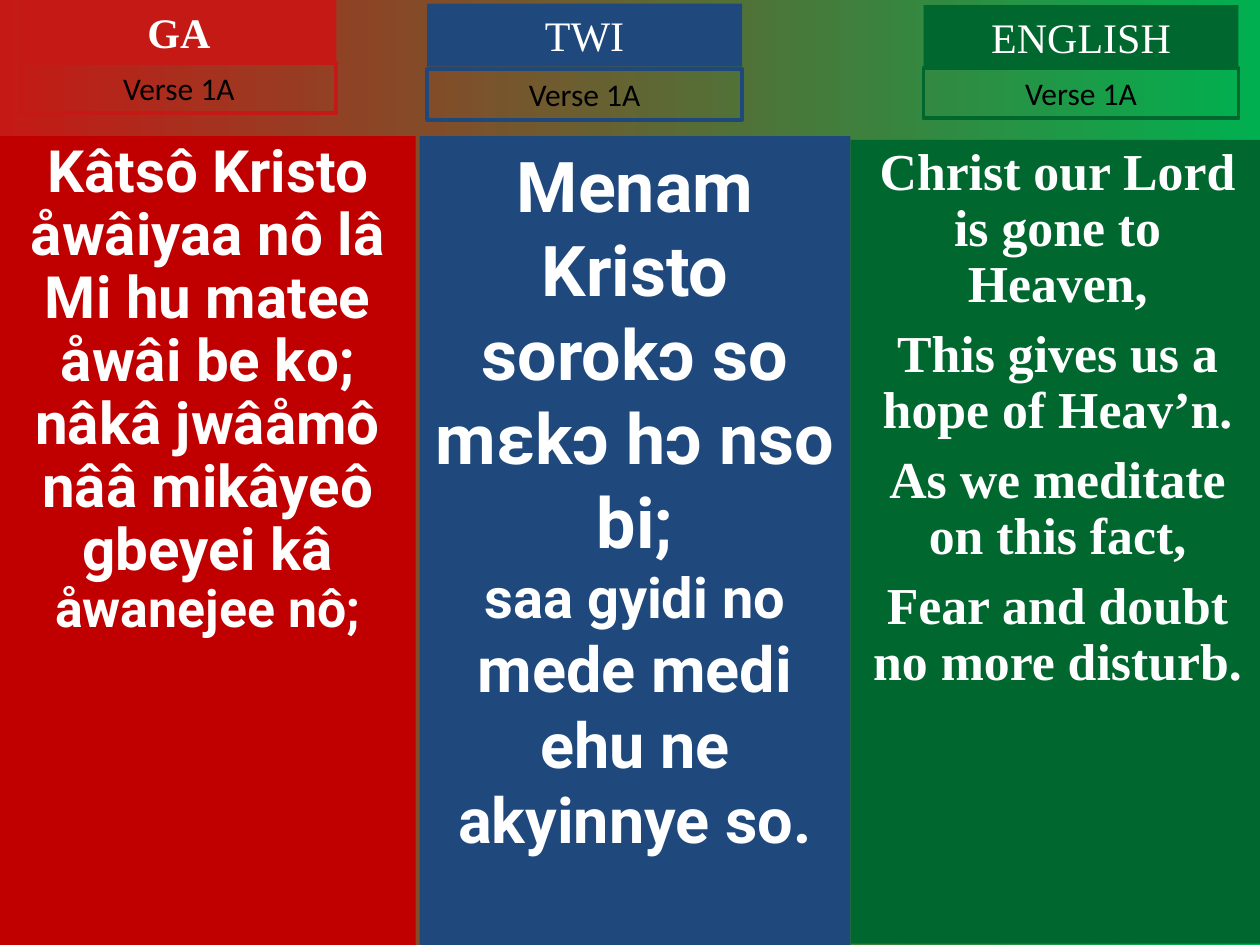
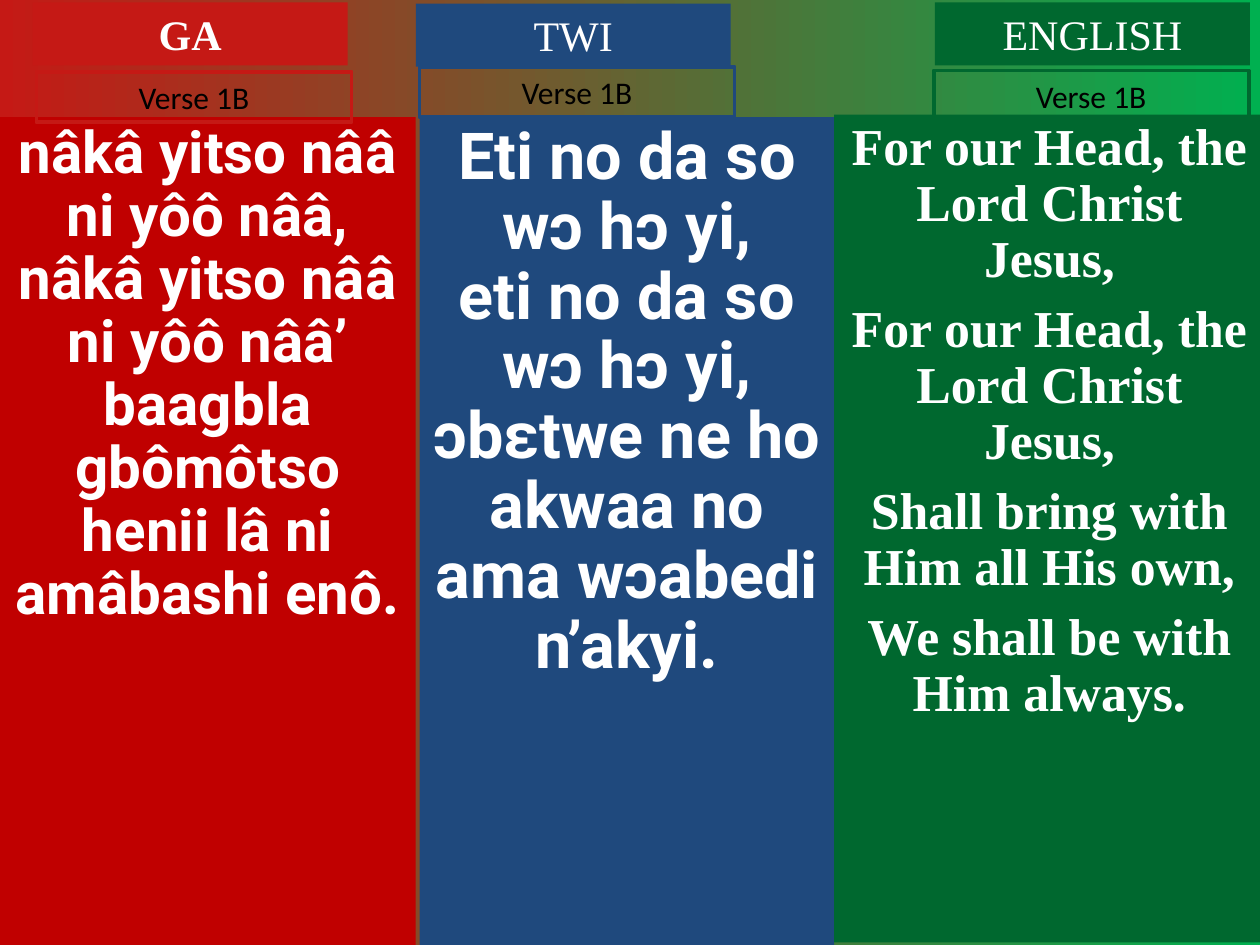
from dataclasses import dataclass
from typing import Optional

from pptx import Presentation
from pptx.dml.color import RGBColor
from pptx.enum.shapes import MSO_SHAPE
from pptx.enum.text import MSO_ANCHOR, MSO_AUTO_SIZE, PP_ALIGN
from pptx.util import Inches, Pt

WIDTH, HEIGHT = Inches(10), Inches(7.5)
COLS, ROWS = 100, 75
LABEL_W, TITLE_H, VERSE_H = 25, 5, 4
WHITE, BLACK = "FFFFFF", "000000"
RED, DARK_RED, BLUE, GREEN, BRIGHT_GREEN = "C51915", "C00000", "1F497D", "00682F", "00B050"
SERIF, SANS, LABEL = "Times New Roman", "Roboto", "Calibri"


@dataclass(frozen=True)
class Language:
    name: str
    accent: str
    panel: str
    font: str
    bold_title: bool = False
    gap: float = 0


@dataclass(frozen=True)
class Run:
    text: str
    size: float


@dataclass(frozen=True)
class Box:
    x: float
    y: float
    w: float
    h: float


@dataclass(frozen=True)
class Column:
    language: Language
    body: Box
    title: tuple[float, float]
    verse: tuple[float, float]
    lyrics: list[list[Run]]
    spacing: float = 0.9


@dataclass(frozen=True)
class Verse:
    label: str
    columns: list[Column]


GA = Language("GA", RED, DARK_RED, SANS, bold_title=True)
TWI = Language("TWI", BLUE, BLUE, SANS)
ENGLISH = Language("ENGLISH", GREEN, GREEN, SERIF, gap=8)


def lines(size: float, *texts: str) -> list[list[Run]]:
    return [[Run(text, size)] for text in texts]


VERSES = [
    Verse("Verse 1A", [
        Column(GA, Box(0, 10.8, 33, 64.2), (1.7, 0), (1.7, 5), [
            *lines(33.3, "Kâtsô Kristo åwâiyaa nô lâ", "Mi hu matee åwâi be ko;",
                   "nâkâ jwâåmô nââ mikâyeô"),
            [Run("gbeyei kâ ", 33.3), Run("åwanejee nô;", 29.6)],
        ]),
        Column(TWI, Box(33.3, 10.8, 34.2, 64.2), (33.9, 0.3), (33.9, 5.5), [
            *lines(40, "Menam Kristo sorokɔ so mɛkɔ hɔ nso bi;"),
            [Run("saa gyidi no ", 32), Run("mede medi ehu ne akyinnye so.", 36)],
        ], spacing=1),
        Column(ENGLISH, Box(67.5, 11.1, 32.9, 63.8), (73.3, 0.4), (73.3, 5.4), lines(
            29.6, "Christ our Lord is gone to Heaven,", "This gives us a hope of Heav’n.",
            "As we meditate on this fact,", "Fear and doubt no more disturb.")),
    ]),
    Verse("Verse 1B", [
        Column(GA, Box(0, 9.3, 33, 65.7), (2.6, 0.2), (2.9, 5.7), lines(
            33.3, "nâkâ yitso nââ ni yôô nââ,",
            "nâkâ yitso nââ ni yôô nââ’ baagbla gbômôtso henii lâ ni amâbashi enô.")),
        Column(TWI, Box(33.3, 9.3, 32.9, 65.7), (33, 0.3), (33.3, 5.3), lines(
            37, "Eti no da so wɔ hɔ yi,", "eti no da so wɔ hɔ yi,",
            "ɔbɛtwe ne ho akwaa no ama wɔabedi n’akyi.")),
        Column(ENGLISH, Box(66.2, 9.1, 34.2, 65.7), (74.2, 0.2), (74.1, 5.6), lines(
            29.6, "For our Head, the Lord Christ Jesus,", "For our Head, the Lord Christ Jesus,",
            "Shall bring with Him all His own,", "We shall be with Him always.")),
    ]),
]


def rgb(value: str) -> RGBColor:
    return RGBColor.from_string(value)


def add_box(slide, box: Box, fill: Optional[str] = None, outline: Optional[str] = None):
    sp = slide.shapes.add_shape(
        MSO_SHAPE.RECTANGLE,
        round(WIDTH * box.x / COLS), round(HEIGHT * box.y / ROWS),
        round(WIDTH * box.w / COLS), round(HEIGHT * box.h / ROWS))
    sp.shadow.inherit = False
    if fill:
        sp.fill.solid()
        sp.fill.fore_color.rgb = rgb(fill)
    else:
        sp.fill.background()
    if outline:
        sp.line.color.rgb = rgb(outline)
        sp.line.width = Pt(2.25)
    else:
        sp.line.fill.background()
    tf = sp.text_frame
    tf.word_wrap = True
    tf.vertical_anchor = MSO_ANCHOR.TOP
    return tf


def write(tf, paragraphs: list[list[Run]], font: str, color: str, bold: bool,
          spacing: float = 1, gap: float = 0) -> None:
    for i, runs in enumerate(paragraphs):
        p = tf.add_paragraph() if i else tf.paragraphs[0]
        p.alignment = PP_ALIGN.CENTER
        p.line_spacing = spacing
        p.space_before = Pt(gap if i else 0)
        for run in runs:
            r = p.add_run()
            r.text = run.text
            r.font.name = font
            r.font.size = Pt(run.size)
            r.font.bold = bold
            r.font.color.rgb = rgb(color)


def add_column(slide, column: Column, label: str) -> None:
    lang = column.language
    body = add_box(slide, column.body, fill=lang.panel)
    write(body, column.lyrics, lang.font, WHITE, True, column.spacing, lang.gap)
    title = add_box(slide, Box(*column.title, LABEL_W, TITLE_H), fill=lang.accent)
    write(title, lines(24, lang.name), SERIF, WHITE, lang.bold_title)
    verse = add_box(slide, Box(*column.verse, LABEL_W, VERSE_H), outline=lang.accent)
    write(verse, lines(18, label), LABEL, BLACK, False)
    for tf in (title, verse):
        tf.auto_size = MSO_AUTO_SIZE.SHAPE_TO_FIT_TEXT


def paint_background(slide) -> None:
    fill = slide.background.fill
    fill.gradient()
    fill.gradient_angle = 0
    for stop, color, position in zip(fill.gradient_stops, (RED, BRIGHT_GREEN), (0, 1)):
        stop.color.rgb = rgb(color)
        stop.position = position


def main() -> None:
    prs = Presentation()
    prs.slide_width, prs.slide_height = WIDTH, HEIGHT
    for verse in VERSES:
        s = prs.slides.add_slide(prs.slide_layouts[6])
        paint_background(s)
        for column in verse.columns:
            add_column(s, column, verse.label)
    prs.save("out.pptx")


if __name__ == "__main__":
    main()
